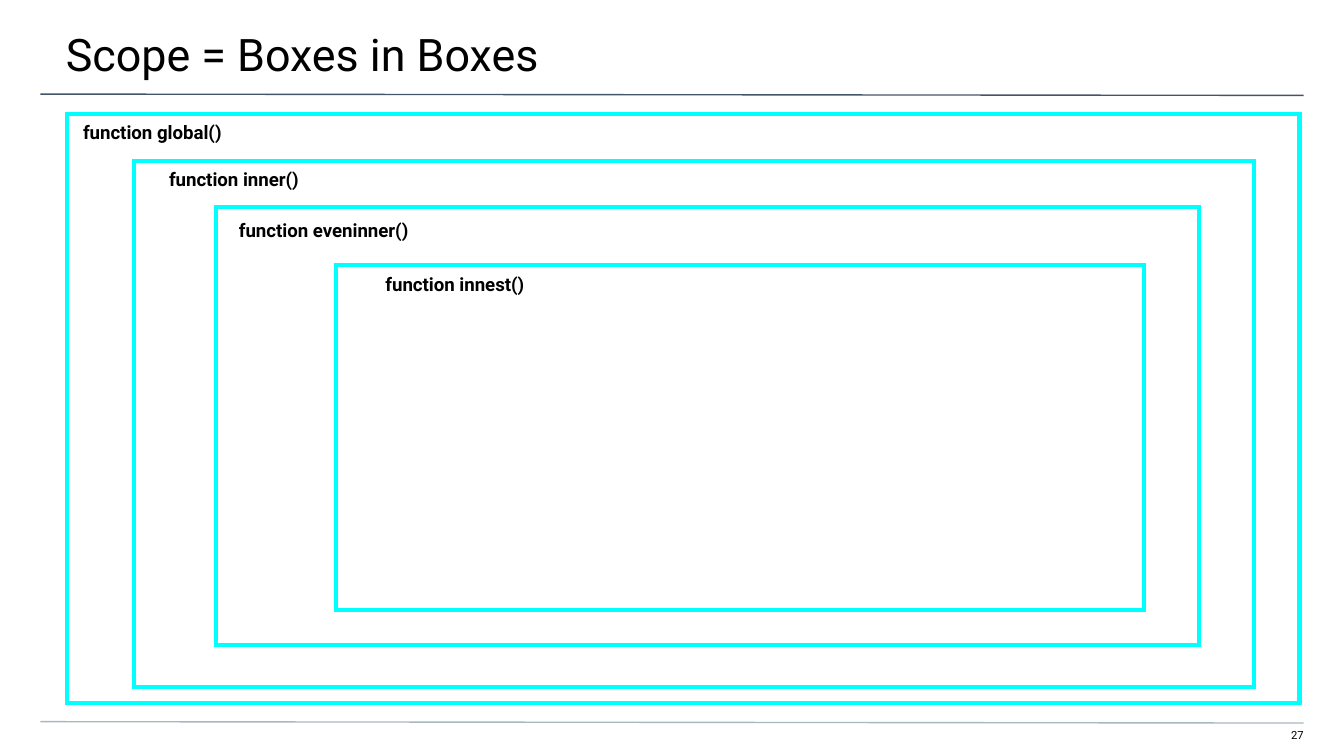
from dataclasses import dataclass

from lxml import etree
from pptx import Presentation
from pptx.dml.color import RGBColor
from pptx.enum.shapes import MSO_CONNECTOR, MSO_SHAPE
from pptx.enum.text import MSO_ANCHOR, MSO_AUTO_SIZE, PP_ALIGN
from pptx.oxml.ns import qn
from pptx.util import Inches, Pt

RECT = MSO_SHAPE.RECTANGLE
STRAIGHT = MSO_CONNECTOR.STRAIGHT
TOP = MSO_ANCHOR.TOP
NO_FIT = MSO_AUTO_SIZE.NONE
LEFT, RIGHT = PP_ALIGN.LEFT, PP_ALIGN.RIGHT


@dataclass(frozen=True)
class Theme:
    font: str = "Roboto"
    text: RGBColor = RGBColor(0x00, 0x00, 0x00)
    paper: RGBColor = RGBColor(0xFF, 0xFF, 0xFF)
    box: RGBColor = RGBColor(0x00, 0xFF, 0xFF)
    title_rule: RGBColor = RGBColor(0x44, 0x54, 0x6A)
    footer_rule: RGBColor = RGBColor(0xA9, 0xB7, 0xC0)
    title_size: float = 24
    label_size: float = 10
    number_size: float = 6
    box_width: float = 2.25
    rule_width: float = 0.75


THEME = Theme()

# Widescreen page, 16:9
PAGE_WIDTH = 10
PAGE_HEIGHT = PAGE_WIDTH * 9 / 16

# Scopes from outermost to innermost: label, box, label position and width
SCOPES = [
    ("function global()", (0.5, 0.85, 9.17, 4.38), (0.52, 0.85, 1.96)),
    ("function inner()", (1, 1.2, 8.33, 3.91), (1.16, 1.2, 1.84)),
    ("function eveninner()", (1.61, 1.54, 7.31, 3.26), (1.68, 1.58, 2.34)),
    ("function innest()", (2.5, 1.97, 6.01, 2.57), (2.77, 1.98, 1.93)),
]
LABEL_HEIGHT = 0.3


def write_text(sp, text, *, size, bold=False, align=LEFT,
               insets=(0.1, 0.05, 0.1, 0.05)):
    tf = sp.text_frame
    tf.word_wrap = True
    tf.auto_size = NO_FIT
    tf.vertical_anchor = TOP
    tf.margin_left, tf.margin_top, tf.margin_right, tf.margin_bottom = map(Inches, insets)
    p = tf.paragraphs[0]
    p.alignment = align
    p.line_spacing = 1.0
    p.space_before = Pt(0)
    r = p.add_run()
    r.text = text
    r.font.name = THEME.font
    r.font.size = Pt(size)
    r.font.bold = bold
    r.font.color.rgb = THEME.text


def add_title(s, text):
    sp = s.shapes.title
    sp.left, sp.top, sp.width, sp.height = map(Inches, (-0.01, 0, 10.03, 0.58))
    write_text(sp, text, size=THEME.title_size, insets=(0.5, 0.2, 0.3, 0.1))


def add_label(s, text, at, **fmt):
    write_text(s.shapes.add_textbox(*map(Inches, at)), text, **fmt)


def add_rule(s, y, color):
    line = s.shapes.add_connector(STRAIGHT, Inches(0.3), Inches(y),
                                  Inches(9.7), Inches(y + 0.01))
    line.line.color.rgb = color
    line.line.width = Pt(THEME.rule_width)
    etree.SubElement(line._element.spPr, qn("a:effectLst"))


def add_scope_box(s, at):
    sp = s.shapes.add_shape(RECT, *map(Inches, at))
    sp.shadow.inherit = False
    sp.fill.solid()
    sp.fill.fore_color.rgb = THEME.paper
    sp.line.color.rgb = THEME.box
    sp.line.width = Pt(THEME.box_width)
    # Sharp corners
    etree.SubElement(sp._element.spPr.find(qn("a:ln")), qn("a:miter"), lim="800000")


def main():
    prs = Presentation()
    prs.slide_width, prs.slide_height = Inches(PAGE_WIDTH), Inches(PAGE_HEIGHT)
    s = prs.slides.add_slide(prs.slide_layouts[5])

    # Page frame
    add_title(s, "Scope = Boxes in Boxes")
    add_label(s, "27", (9.41, 5.42, 0.29, 0.12), size=THEME.number_size,
              align=RIGHT, insets=(0, 0, 0, 0.1))
    add_rule(s, 0.7, THEME.title_rule)
    add_rule(s, 5.37, THEME.footer_rule)

    # Nested scopes, then their labels on top
    for _, box, _ in SCOPES:
        add_scope_box(s, box)
    for text, _, at in SCOPES:
        add_label(s, text, (*at, LABEL_HEIGHT), size=THEME.label_size, bold=True)

    prs.save("out.pptx")


if __name__ == "__main__":
    main()
